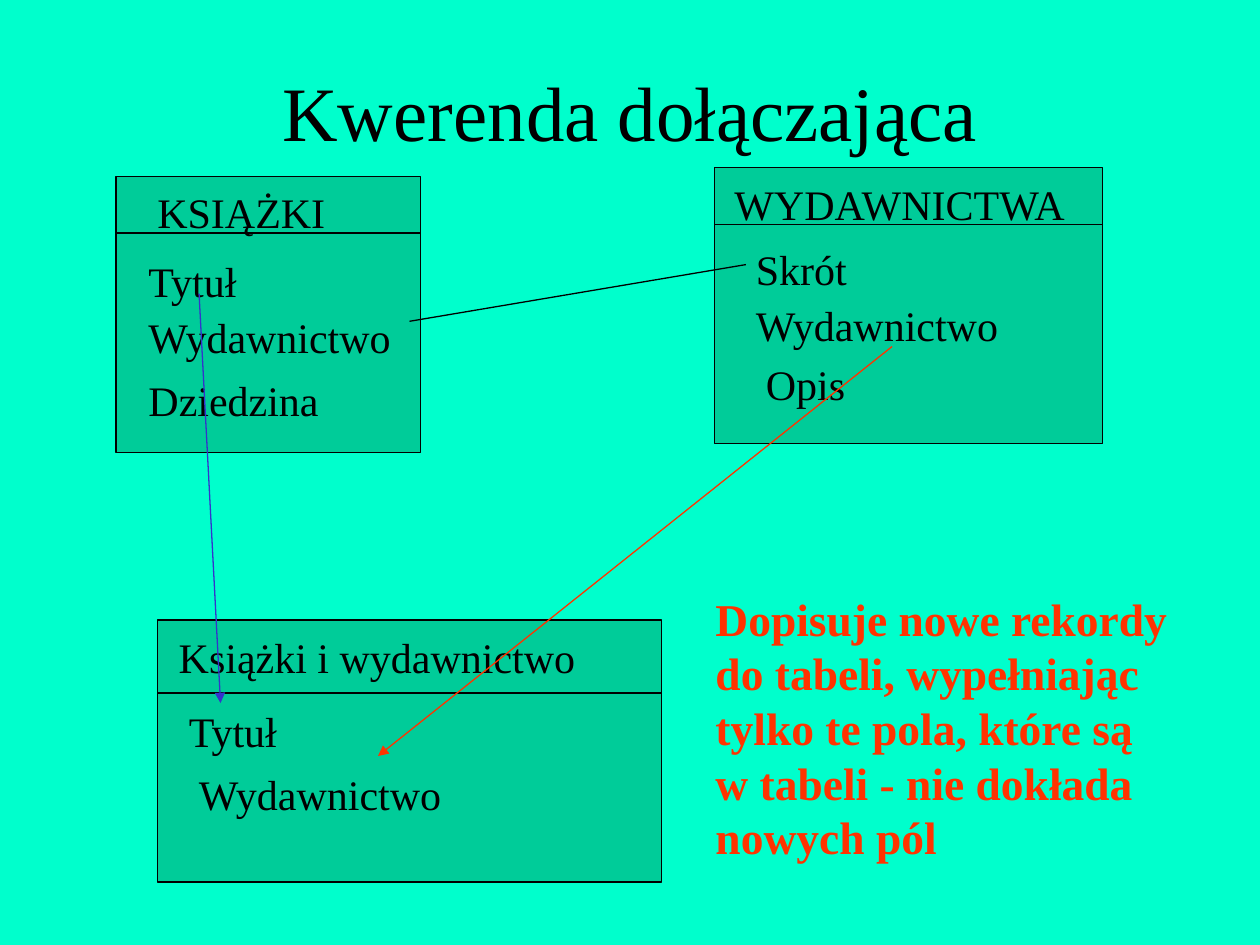
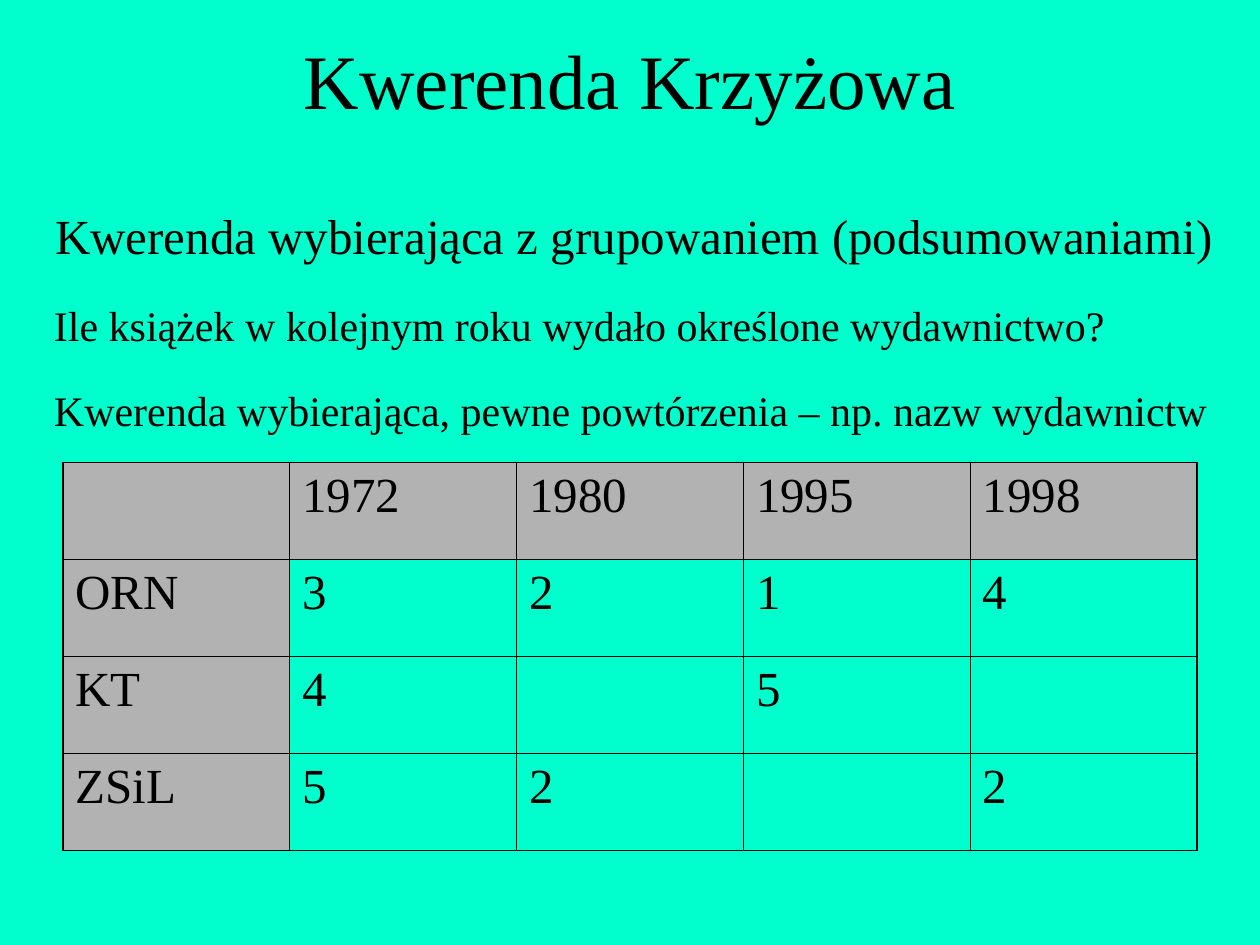
"""Build two slides about append queries and crosstab queries."""
import pptx
import pptx.dml.color
import pptx.enum.shapes
import pptx.enum.text
import pptx.oxml.ns
import pptx.util
from lxml import etree

Inches = pptx.util.Inches
Pt = pptx.util.Pt
RGBColor = pptx.dml.color.RGBColor
qn = pptx.oxml.ns.qn

FONT = "Times New Roman"
BLACK = RGBColor(0x00, 0x00, 0x00)
MINT = RGBColor(0x00, 0xFF, 0xCC)
GREEN = RGBColor(0x00, 0xCC, 0x99)
BLUE = RGBColor(0x33, 0x33, 0xCC)
RED = RGBColor(0xFF, 0x33, 0x00)
GREY = RGBColor(0xB2, 0xB2, 0xB2)
THIN, THICK = 0.45, 1.08

APPEND_TITLE = "Kwerenda dołączająca"
ENTITIES = [
    {"box": (0.92, 1.4, 2.42, 2.19), "header_height": 0.45,
     "labels": [("KSIĄŻKI", 1.15, 1.43, 1.53), ("Tytuł", 1.08, 1.98, 0.92),
                ("Wydawnictwo", 1.08, 2.42, 2.14), ("Dziedzina", 1.08, 2.92, 1.55)]},
    {"box": (5.67, 1.33, 3.08, 2.19), "header_height": 0.45,
     "labels": [("WYDAWNICTWA", 5.73, 1.37, 2.88), ("Skrót", 5.9, 1.88, 0.92),
                ("Wydawnictwo", 5.9, 2.33, 2.14), ("Opis", 5.98, 2.8, 0.83)]},
    {"box": (1.25, 4.92, 4, 2.08), "header_height": 0.58,
     "labels": [("Książki i wydawnictwo", 1.32, 4.96, 3.35), ("Tytuł", 1.4, 5.55, 0.92),
                ("Wydawnictwo", 1.48, 6.05, 2.14)]},
]
LINKS = [
    ((3.25, 2.55), (5.92, 2.1), BLACK, False),
    ((1.58, 2.33), (1.75, 5.58), BLUE, True),
    ((7.08, 2.75), (3, 6), RED, True),
]
REMARK = ("Dopisuje nowe rekordy\vdo tabeli, wypełniając tylko te pola, "
          "które są\vw tabeli - nie dokłada nowych pól")

CROSSTAB_TITLE = "Kwerenda Krzyżowa"
STATEMENTS = [
    ("Kwerenda wybierająca z grupowaniem (podsumowaniami)", (0.34, 1.58, 9.5, 0.57), 28),
    ("Ile książek w kolejnym roku wydało określone wydawnictwo?", (0.33, 2.33, 9.5, 0.5), 24),
    ("Kwerenda wybierająca, pewne powtórzenia – np. nazw wydawnictw", (0.33, 3, 9.5, 0.5), 24),
]
CROSSTAB = [
    ["", "1972", "1980", "1995", "1998"],
    ["ORN", "3", "2", "1", "4"],
    ["KT", "4", "", "5", ""],
    ["ZSiL", "5", "2", "", "2"],
]
CROSSTAB_BOX = (0.5, 3.67, 9, 3.08)


def write(frame, text, size=24, color=BLACK, bold=False, align=None, wrap=None):
    """Fill a text frame with one formatted paragraph."""
    frame.text = text
    if wrap is not None:
        frame.word_wrap = wrap
    paragraph = frame.paragraphs[0]
    paragraph.alignment = align
    for run in paragraph.runs:
        run.font.name = FONT
        run.font.size = Pt(size)
        run.font.bold = bold
        run.font.color.rgb = color


def add_text(slide, text, box, wrap=False, **text_format):
    """Add a text box at the given place."""
    shape = slide.shapes.add_textbox(*map(Inches, box))
    write(shape.text_frame, text, wrap=wrap, **text_format)


def add_line(slide, start, end, color=BLACK, arrow=False):
    """Draw a straight line, with an arrowhead at its end if wanted."""
    line = slide.shapes.add_connector(
        pptx.enum.shapes.MSO_CONNECTOR.STRAIGHT, *map(Inches, start + end))
    line.line.color.rgb = color
    line.line.width = Pt(0.75)
    if arrow:
        etree.SubElement(line.line._get_or_add_ln(), qn("a:tailEnd"), type="triangle")
    etree.SubElement(line._element.spPr, qn("a:effectLst"))


def add_entity(slide, box, header_height, labels):
    """Draw a database table with its header rule and field names."""
    left, top, width, height = box
    shape = slide.shapes.add_shape(
        pptx.enum.shapes.MSO_SHAPE.RECTANGLE, *map(Inches, box))
    shape.shadow.inherit = False
    shape.fill.solid()
    shape.fill.fore_color.rgb = GREEN
    shape.line.color.rgb = BLACK
    shape.line.width = Pt(0.75)
    rule = top + header_height
    add_line(slide, (left, rule), (left + width, rule))
    for text, label_left, label_top, label_width in labels:
        add_text(slide, text, (label_left, label_top, label_width, 0.5))


def set_borders(cell, widths):
    """Give a cell black borders: left, right, top and bottom widths."""
    properties = cell._tc.get_or_add_tcPr()
    for side, width in zip("LRTB", widths):
        border = etree.SubElement(properties, qn(f"a:ln{side}"), w=str(Pt(width)))
        fill = etree.SubElement(border, qn("a:solidFill"))
        etree.SubElement(fill, qn("a:srgbClr"), val=str(BLACK))


def add_crosstab(slide, rows, box):
    """Add the table with grey headings and a thicker outline."""
    last_row, last_column = len(rows) - 1, len(rows[0]) - 1
    table = slide.shapes.add_table(
        len(rows), len(rows[0]), *map(Inches, box)).table
    for r, row in enumerate(rows):
        for c, text in enumerate(row):
            cell = table.cell(r, c)
            edges = (c == 0, c == last_column, r == 0, r == last_row)
            set_borders(cell, [THICK if edge else THIN for edge in edges])
            if r == 0 or c == 0:
                cell.fill.solid()
                cell.fill.fore_color.rgb = GREY
            else:
                cell.fill.background()
            write(cell.text_frame, text, size=28)


def add_slide(presentation, title, title_top):
    """Add a slide with its title moved to the given height."""
    slide = presentation.slides.add_slide(presentation.slide_layouts[5])
    shape = slide.shapes.title
    shape.left, shape.top, shape.width, shape.height = map(
        Inches, (0.75, title_top, 8.5, 1.25))
    shape.text_frame.vertical_anchor = pptx.enum.text.MSO_ANCHOR.MIDDLE
    write(shape.text_frame, title, size=44, align=pptx.enum.text.PP_ALIGN.CENTER)
    return slide


def main():
    """Build and save the presentation."""
    presentation = pptx.Presentation()
    presentation.slide_width, presentation.slide_height = Inches(10), Inches(7.5)
    background = presentation.slide_master.background.fill
    background.solid()
    background.fore_color.rgb = MINT

    slide = add_slide(presentation, APPEND_TITLE, 0.25)
    for entity in ENTITIES:
        add_entity(slide, **entity)
    for link in LINKS:
        add_line(slide, *link)
    add_text(slide, REMARK, (5.58, 4.64, 4.21, 2.27), wrap=True, size=26, color=RED, bold=True)

    slide = add_slide(presentation, CROSSTAB_TITLE, 0)
    for text, box, size in STATEMENTS:
        add_text(slide, text, box, wrap=True, size=size)
    add_crosstab(slide, CROSSTAB, CROSSTAB_BOX)

    presentation.save("out.pptx")


if __name__ == "__main__":
    main()
